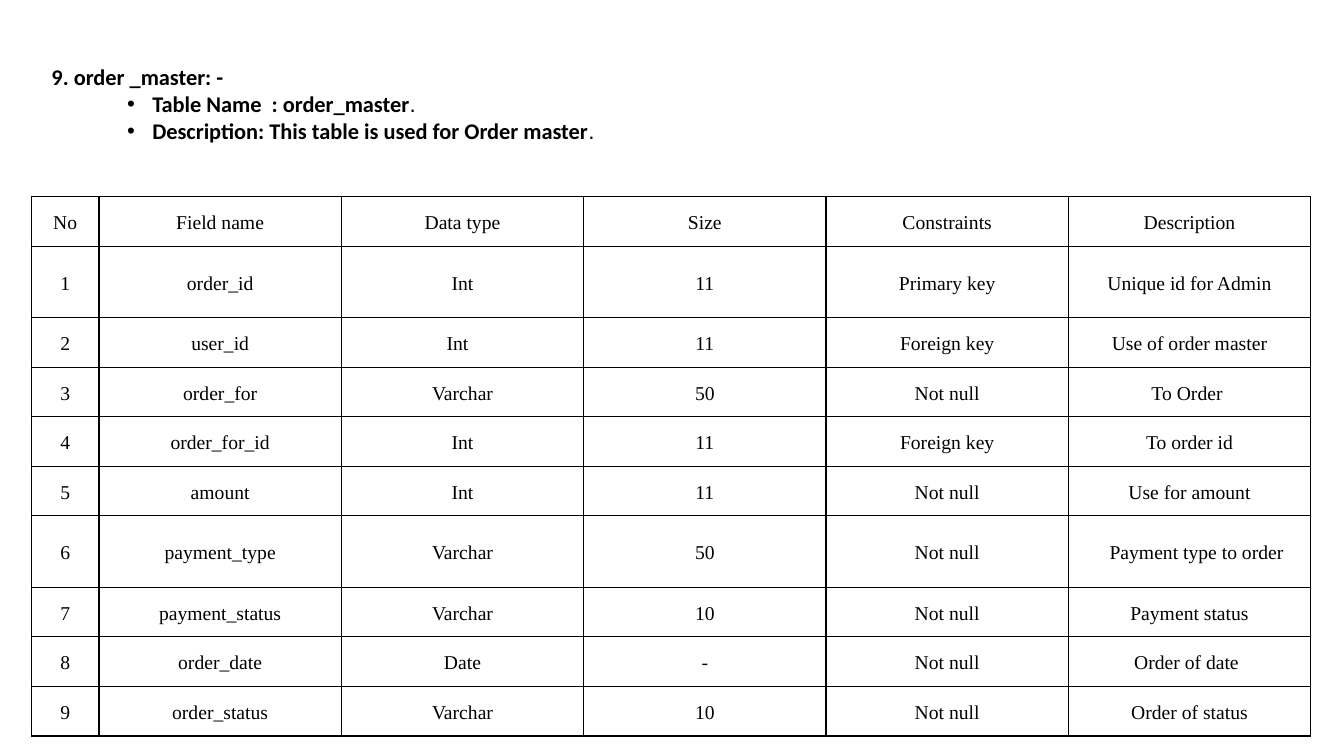
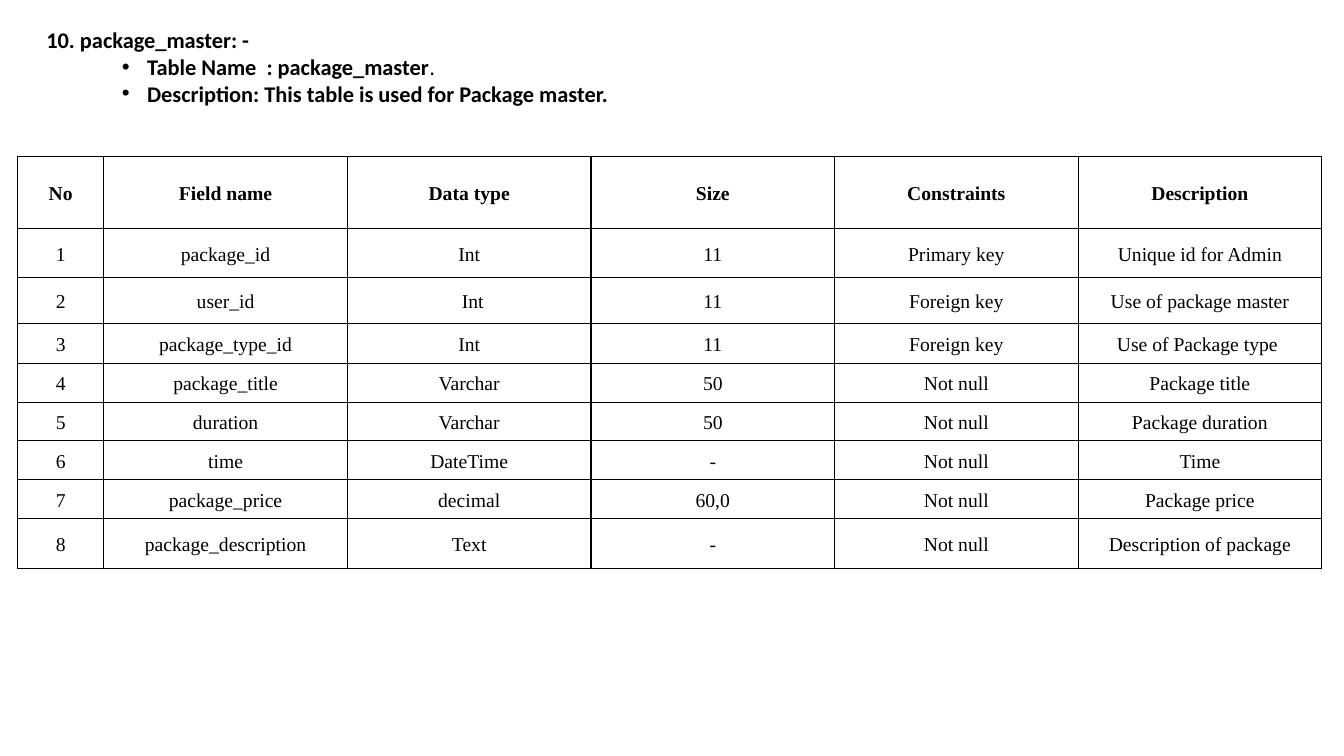
from pptx import Presentation, util as u
from pptx.dml.color import RGBColor
from pptx.enum import text
from pptx.oxml import parse_xml
from pptx.oxml.ns import nsdecls

INK = RGBColor(0, 0, 0)
PAPER = RGBColor(255, 255, 255)

deck = Presentation()
deck.slide_width, deck.slide_height = u.Inches(13.33), u.Inches(7.5)
WIDE = deck.slide_width / 100   # one percent of the width
HIGH = deck.slide_height / 100  # one percent of the height

# Shared formats
LINE = 3.56  # height of a heading line, percent of the slide
HEAD = {"name": "Calibri", "size": u.Pt(16), "bold": True}
STOP = {"name": "Arial", "size": u.Pt(16), "bold": False}
CELL = {"name": "Times New Roman", "size": u.Pt(14), "bold": False}
FRAME = {"margin_top": 0, "margin_bottom": 0, "word_wrap": True,
         "auto_size": text.MSO_AUTO_SIZE.NONE,
         "vertical_anchor": text.MSO_ANCHOR.MIDDLE}
FLUSH = {"alignment": text.PP_ALIGN.LEFT, "space_before": u.Pt(0), "line_spacing": 1.0}
MID = {"alignment": text.PP_ALIGN.CENTER, "line_spacing": 1.15}
PLAIN = {"first_row": False, "horz_banding": False}
NAMES = ["No", "Field name", "Data type", "Size", "Constraints", "Description"]


def put(thing, *looks):
    for look in looks:
        for key, value in look.items():
            setattr(thing, key, value)


def write(para, words, look):
    run = para.add_run()
    run.text = words
    put(run.font, look)
    run.font.color.rgb = INK


# Contents; lengths are percent of the slide, nudges are inches by (row, column)
PAGES = [
    {"title": "9. order _master: -", "x": 3.08, "y": 8.4,
     "list": [("Table Name  : order_master", "."),
              ("Description: This table is used for Order master", ".")],
     "left": 2.33, "top": 26, "span": 95.2, "first": 5.04, "pad": 0.07, "bold": False,
     "tall": [6.56, 9.45] + [6.56] * 4 + [9.45] + [6.56] * 3,
     "nudge": {(2, 2): -0.1, (3, 5): -0.05, (6, 5): 0.14, (8, 5): -0.06},
     "rows": [
         ["order_id", "Int", "11", "Primary key", "Unique id for Admin"],
         ["user_id", "Int", "11", "Foreign key", "Use of order master"],
         ["order_for", "Varchar", "50", "Not null", "To Order"],
         ["order_for_id", "Int", "11", "Foreign key", "To order id"],
         ["amount", "Int", "11", "Not null", "Use for amount"],
         ["payment_type", "Varchar", "50", "Not null", "Payment type to order"],
         ["payment_status", "Varchar", "10", "Not null", "Payment status"],
         ["order_date", "Date", "-", "Not null", "Order of date"],
         ["order_status", "Varchar", "10", "Not null", "Order of status"]]},
    {"title": "10. package_master: -", "x": 2.7, "y": 3.45,
     "list": [("Table Name  : package_master", "."),
              ("Description: This table is used for Package master.", "")],
     "left": 1.3, "top": 20.67, "span": 97.05, "first": 6.43, "pad": 0.06, "bold": True,
     "tall": [9.6, 6.4, 6.1, 5.3] + [5.13] * 4 + [6.67],
     "nudge": {(2, 2): 0.07, (3, 5): -0.05},
     "rows": [
         ["package_id", "Int", "11", "Primary key", "Unique id for Admin"],
         ["user_id", "Int", "11", "Foreign key", "Use of package master"],
         ["package_type_id", "Int", "11", "Foreign key", "Use of Package type"],
         ["package_title", "Varchar", "50", "Not null", "Package title"],
         ["duration", "Varchar", "50", "Not null", "Package duration"],
         ["time", "DateTime", "-", "Not null", "Time"],
         ["package_price", "decimal", "60,0", "Not null", "Package price"],
         ["package_description", "Text", "-", "Not null", "Description of package"]]},
]

for page in PAGES:
    slide = deck.slides.add_slide(deck.slide_layouts[1])
    title, body = slide.placeholders

    # Heading and list, stacked line by line
    for box, skip, count in ((title, 0, 1), (body, 1, 2)):
        put(box, {"left": int(page["x"] * WIDE), "top": int((page["y"] + skip * LINE) * HIGH),
                  "width": int(93.8 * WIDE), "height": int(count * LINE * HIGH)})
        put(box.text_frame, FRAME)
    para = title.text_frame.paragraphs[0]
    put(para, FLUSH)
    write(para, page["title"], HEAD)
    for i, (words, tail) in enumerate(page["list"]):
        para = body.text_frame.add_paragraph() if i else body.text_frame.paragraphs[0]
        put(para, FLUSH)
        write(para, words, HEAD)
        if tail:
            write(para, tail, STOP)
        props = para._p.get_or_add_pPr()
        props.set("marL", str(u.Inches(1)))
        props.set("indent", str(-u.Inches(0.25)))
        props.append(parse_xml(f'<a:buFont {nsdecls("a")} typeface="Arial"/>'))
        props.append(parse_xml(f'<a:buChar {nsdecls("a")} char="•"/>'))

    # Table grid: a narrow first column, the others equal
    rows = [NAMES] + [[str(n), *row] for n, row in enumerate(page["rows"], 1)]
    grid = slide.shapes.add_table(
        len(rows), len(NAMES), int(page["left"] * WIDE), int(page["top"] * HIGH),
        int(page["span"] * WIDE), int(sum(page["tall"]) * HIGH)).table
    put(grid, PLAIN)
    rest = (page["span"] - page["first"]) / (len(NAMES) - 1)
    for c, col in enumerate(grid.columns):
        col.width = int((rest if c else page["first"]) * WIDE)
    for row, tall in zip(grid.rows, page["tall"]):
        row.height = int(tall * HIGH)

    # Cells
    for r, row in enumerate(rows):
        for c, words in enumerate(row):
            cell = grid.cell(r, c)
            shift = page["nudge"].get((r, c), 0)
            put(cell, {"margin_top": 0, "margin_bottom": 0,
                       "margin_left": u.Inches(page["pad"] + max(shift, 0)),
                       "margin_right": u.Inches(page["pad"] + max(-shift, 0)),
                       "vertical_anchor": text.MSO_ANCHOR.MIDDLE})
            for side in "LRTB":
                cell._tc.get_or_add_tcPr().append(parse_xml(
                    f'<a:ln{side} {nsdecls("a")} w="{u.Pt(1)}"><a:solidFill>'
                    f'<a:srgbClr val="{INK}"/></a:solidFill></a:ln{side}>'))
            cell.fill.solid()
            cell.fill.fore_color.rgb = PAPER
            para = cell.text_frame.paragraphs[0]
            put(para, MID)
            write(para, words, {**CELL, "bold": page["bold"] and r == 0})

deck.save("out.pptx")
